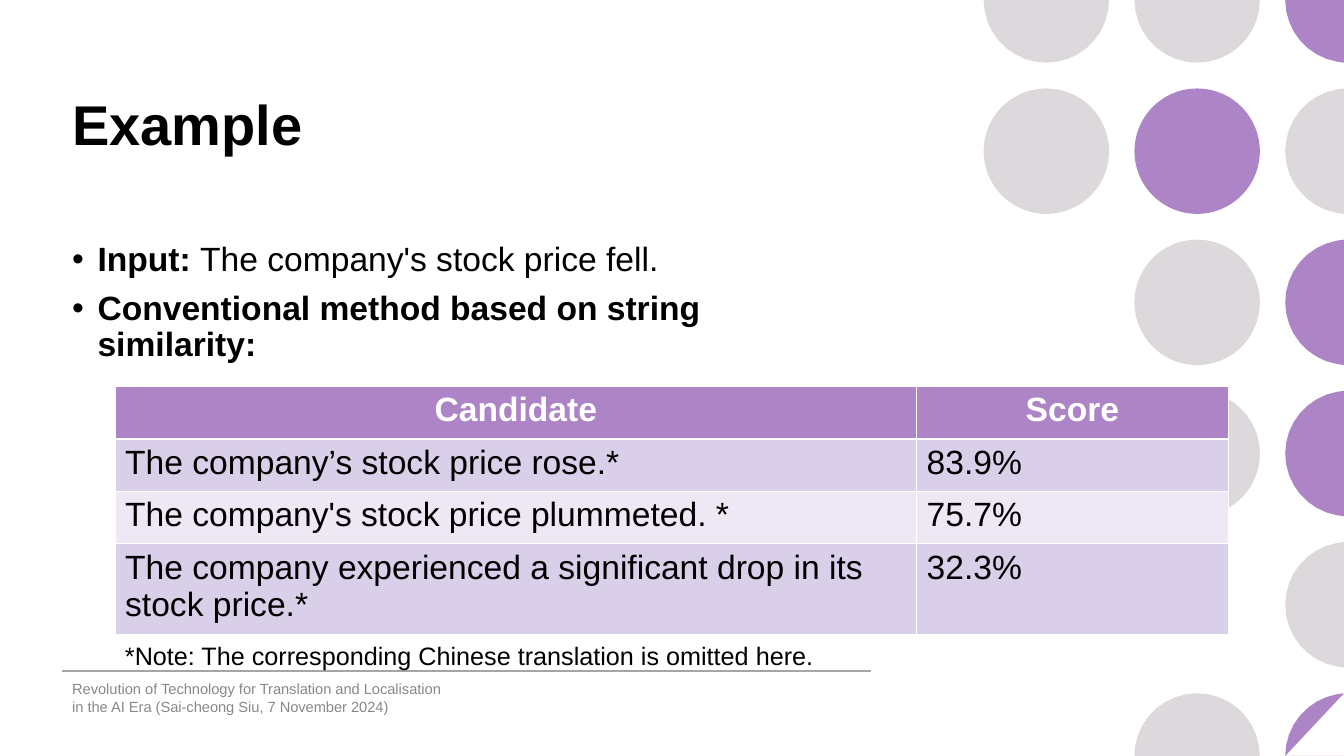
import math
from dataclasses import dataclass

import pptx
import pptx.util
import pptx.dml.color
import pptx.enum.shapes
import pptx.enum.text
import pptx.oxml.ns
from lxml import etree
from pptx.util import Cm


@dataclass(frozen=True)
class Theme:
    font: str = "Arial"
    black: str = "000000"
    white: str = "FFFFFF"
    purple: str = "AD84C6"
    grey: str = "DCD8DC"
    rule: str = "A5A5A5"
    footer: str = "888888"
    band_dark: str = "D9CFE9"
    band_light: str = "EDE8F4"
    title_size: float = 40
    body_size: float = 24
    note_size: float = 18
    footer_size: float = 10.5


THEME = Theme()
WIDTH, HEIGHT = 33.87, 19.05
ANCHOR = pptx.enum.text.MSO_ANCHOR
ALIGN = pptx.enum.text.PP_ALIGN

DOT_RADIUS = 1.58
DOT_LEFT, DOT_STEP_X, DOT_STEP_Y = 26.37, 3.8, 3.81
DOT_ROWS = ["GGP", "GPG", " GP", " GP", "  G", " GP"]
DOT_COLORS = {"G": THEME.grey, "P": THEME.purple}
EDGE_MARGIN = 0.2

BULLETS = [
    [("Input: ", True), ("The company's stock price fell.", False)],
    [("Conventional method based on string similarity:", True)],
]
SCORES = [
    ("Candidate", "Score"),
    ("The company’s stock price rose.*", "83.9%"),
    ("The company's stock price plummeted. *", "75.7%"),
    ("The company experienced a significant drop in its stock price.*", "32.3%"),
]
NOTE = "*Note: The corresponding Chinese translation is omitted here."
FOOTER = ("Revolution of Technology for Translation and Localisation "
          "in the AI Era (Sai-cheong Siu, 7 November 2024)")


def rgb(value):
    return pptx.dml.color.RGBColor.from_string(value)


def add_run(p, text, size, color=THEME.black, bold=False):
    r = p.add_run()
    r.text = text
    r.font.name = THEME.font
    r.font.size = pptx.util.Pt(size)
    r.font.bold = bold
    r.font.color.rgb = rgb(color)


def add_text_box(s, left, top, width, height, anchor=ANCHOR.TOP):
    tf = s.shapes.add_textbox(Cm(left), Cm(top), Cm(width), Cm(height)).text_frame
    tf.word_wrap = True
    tf.vertical_anchor = anchor
    return tf


def clamp(x, y):
    return Cm(min(x, WIDTH)), Cm(min(max(y, 0), HEIGHT))


def near_slide(x, y):
    return x <= WIDTH + EDGE_MARGIN and -EDGE_MARGIN <= y <= HEIGHT + EDGE_MARGIN


def add_cut_dot(s, cx, cy):
    start = 180 if cy > HEIGHT - DOT_RADIUS else 0
    angles = [math.radians(start + a) for a in range(0, 361, 10)]
    arc = [(cx + DOT_RADIUS * math.cos(a), cy + DOT_RADIUS * math.sin(a)) for a in angles]
    builder = s.shapes.build_freeform(*clamp(cx, cy))
    builder.add_line_segments([clamp(*pt) for pt in arc if near_slide(*pt)], close=True)
    return builder.convert_to_shape()


def add_dot(s, cx, cy, color):
    r = DOT_RADIUS
    if cx + r <= WIDTH and r <= cy <= HEIGHT - r:
        sp = s.shapes.add_shape(pptx.enum.shapes.MSO_SHAPE.OVAL,
                                Cm(cx - r), Cm(cy - r), Cm(2 * r), Cm(2 * r))
    else:
        sp = add_cut_dot(s, cx, cy)
    sp.shadow.inherit = False
    sp.fill.solid()
    sp.fill.fore_color.rgb = rgb(color)
    sp.line.fill.background()


def add_dots(s):
    for i, row in enumerate(DOT_ROWS):
        for j, code in enumerate(row):
            if code in DOT_COLORS:
                add_dot(s, DOT_LEFT + j * DOT_STEP_X, i * DOT_STEP_Y, DOT_COLORS[code])


def add_rule(s):
    line = s.shapes.add_connector(pptx.enum.shapes.MSO_CONNECTOR.STRAIGHT,
                                  Cm(1.57), Cm(16.91), Cm(21.95), Cm(16.91))
    line.line.color.rgb = rgb(THEME.rule)
    line.line.width = pptx.util.Pt(1)
    etree.SubElement(line._element.spPr, pptx.oxml.ns.qn("a:effectLst"))


def set_title(s, text):
    sp = s.shapes.title
    sp.left, sp.top, sp.width, sp.height = Cm(1.57), Cm(2.13), Cm(20.37), Cm(3.53)
    tf = sp.text_frame
    tf.vertical_anchor = ANCHOR.TOP
    p = tf.paragraphs[0]
    p.alignment = ALIGN.LEFT
    add_run(p, text, THEME.title_size, bold=True)


def add_bullets(s):
    tf = add_text_box(s, 1.57, 5.99, 20.37, 10.01)
    for i, runs in enumerate(BULLETS):
        p = tf.add_paragraph() if i else tf.paragraphs[0]
        p.line_spacing = 0.9
        if i:
            p.space_before = pptx.util.Pt(9)
        pPr = p._p.get_or_add_pPr()
        pPr.set("marL", str(Cm(0.64)))
        pPr.set("indent", str(-Cm(0.64)))
        font = etree.SubElement(pPr, pptx.oxml.ns.qn("a:buFont"))
        font.set("typeface", THEME.font)
        bullet = etree.SubElement(pPr, pptx.oxml.ns.qn("a:buChar"))
        bullet.set("char", "•")
        for text, bold in runs:
            add_run(p, text, THEME.body_size, bold=bold)


def add_scores(s):
    table = s.shapes.add_table(len(SCORES), 2, Cm(2.9), Cm(9.74), Cm(28.05), Cm(6.26)).table
    for column, width in zip(table.columns, (20.2, 7.85)):
        column.width = Cm(width)
    for row, height in zip(table.rows, (1.32, 1.32, 1.32, 2.3)):
        row.height = Cm(height)
    for i, values in enumerate(SCORES):
        header = i == 0
        band = THEME.band_dark if i % 2 else THEME.band_light
        for j, text in enumerate(values):
            cell = table.cell(i, j)
            cell.fill.solid()
            cell.fill.fore_color.rgb = rgb(THEME.purple if header else band)
            p = cell.text_frame.paragraphs[0]
            p.alignment = ALIGN.CENTER if header else ALIGN.LEFT
            add_run(p, text, THEME.body_size,
                    THEME.white if header else THEME.black, header)


def main():
    prs = pptx.Presentation()
    prs.slide_width, prs.slide_height = Cm(WIDTH), Cm(HEIGHT)
    s = prs.slides.add_slide(prs.slide_layouts.get_by_name("Title Only"))
    add_dots(s)
    add_rule(s)
    set_title(s, "Example")
    add_bullets(s)
    tf = add_text_box(s, 1.57, 17.07, 10.03, 1.02, ANCHOR.MIDDLE)
    add_run(tf.paragraphs[0], FOOTER, THEME.footer_size, THEME.footer)
    add_scores(s)
    tf = add_text_box(s, 2.9, 16, 18.69, 1.02)
    add_run(tf.paragraphs[0], NOTE, THEME.note_size)
    prs.save("out.pptx")


if __name__ == "__main__":
    main()
